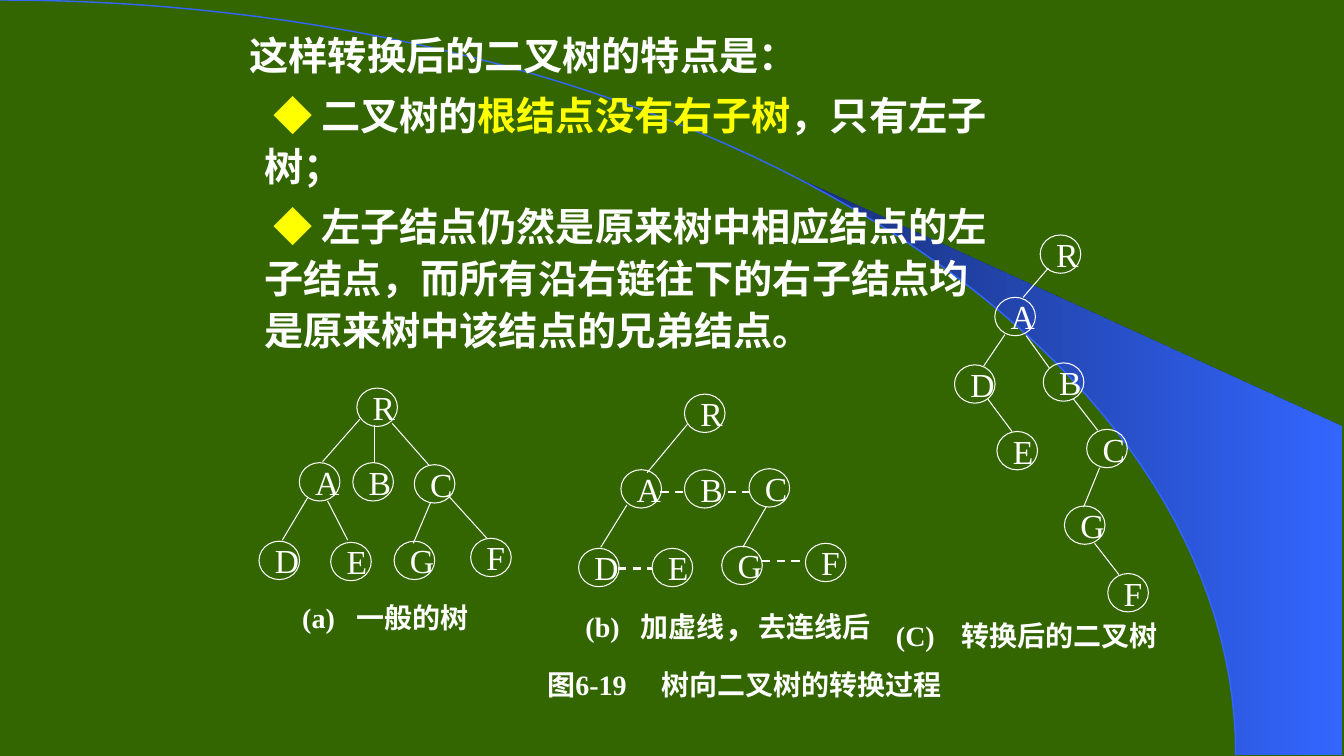
import math
from dataclasses import dataclass, field
from typing import NamedTuple

from lxml import etree
from pptx import Presentation
from pptx.dml.color import RGBColor
from pptx.enum.dml import MSO_LINE
from pptx.enum.shapes import MSO_CONNECTOR, MSO_SHAPE
from pptx.enum.text import MSO_ANCHOR, PP_ALIGN
from pptx.oxml.ns import qn
from pptx.util import Pt

STRAIGHT, ELLIPSE = MSO_CONNECTOR.STRAIGHT, MSO_SHAPE.OVAL
MIDDLE, LEFT, DASH = MSO_ANCHOR.MIDDLE, PP_ALIGN.LEFT, MSO_LINE.DASH
COLORS = {"ground": "336600", "text": "FFFFFF", "accent": "FFFF00",
          "arc": "3366FF", "band_dark": "182F76"}
CJK, LATIN = "Noto Sans CJK SC", "Times New Roman"
BODY = {"name": CJK, "size": Pt(28), "bold": True}
CAPTION = {"name": LATIN, "size": Pt(20), "bold": True}
CAPTION_COMMA = {"name": CJK, "size": Pt(24), "bold": True}
NODE = {"name": LATIN, "size": Pt(24), "bold": False}
NODE_W, NODE_H = 29, 27.4
ARC_W, ARC_H = 882.7, 539.3
BAND_LEFT, BAND_RIGHT, BAND_RIGHT_TOP = 565.9, 958.3, 304.6

Point = tuple[float, float]
Line = tuple[float, float, float, float]


class Run(NamedTuple):
    text: str
    style: dict
    color: str = "text"


@dataclass
class Caption:
    left: float
    top: float
    width: float
    height: float
    tab: float
    runs: list[Run]


@dataclass
class Tree:
    nodes: dict[str, Point]
    edges: list[Line]
    sibling_links: list[Line] = field(default_factory=list)


TREES = [
    Tree({"R": (254.9, 277.2), "A": (213.8, 330.5), "B": (252, 330.5), "C": (295.9, 331.9),
          "D": (185, 386.6), "E": (236.2, 387.4), "G": (281.5, 386.6), "F": (336.2, 384.5)},
         [(257, 299.5, 230.4, 329.8), (267.8, 303.8, 267.8, 330.5),
          (280.1, 302.4, 306.7, 332.6), (219.6, 355.7, 201.6, 385.9),
          (234, 357.8, 248.4, 385.9), (321.1, 355, 347.8, 384.5),
          (307.4, 359.3, 295.2, 388.1)]),
    Tree({"R": (488.9, 281.5), "A": (443.5, 335.5), "B": (488.9, 335.5), "C": (535, 334.8),
          "D": (413.3, 391.7), "E": (465.8, 391.7), "G": (515.5, 390.2), "F": (575.3, 388.1)},
         [(491, 303.1, 462.2, 337.7), (447.8, 360.7, 429.1, 391),
          (547.2, 362.2, 530.6, 391)],
         [(471.6, 351.4, 489.6, 351.4), (519.8, 351.4, 535.7, 351.4),
          (441.4, 406.1, 465.8, 406.1), (544.3, 401, 574.6, 401)]),
    Tree({"R": (743, 167.8), "A": (710.6, 212.4), "B": (745.2, 259.2), "C": (776.2, 306.7),
          "D": (681.8, 260.6), "E": (712.1, 308.2), "G": (760.3, 361.4), "F": (791.3, 409.7)},
         [(748.8, 191.5, 730.8, 212.4), (717.8, 239, 702.7, 261.4),
          (733, 239.8, 749.5, 262.8), (705.6, 285.1, 722.9, 308.2),
          (766.8, 285.1, 784.1, 307.4), (785.5, 334.1, 774, 362.2),
          (781.9, 388.1, 799.2, 410.4)]),
]
CAPTIONS = [
    Caption(208.8, 428, 150, 25.2, 38.6, [Run("(a)\t一般的树", CAPTION)]),
    Caption(411.1, 433, 235, 25.2, 39.3,
            [Run("(b)\t加虚线", CAPTION), Run("，", CAPTION_COMMA), Run("去连线后", CAPTION)]),
    Caption(632.9, 439.9, 225, 28, 47, [Run("(C)\t转换后的二叉树", CAPTION)]),
    Caption(383.8, 474.5, 320, 28, 81.4, [Run("图6-19\t树向二叉树的转换过程", CAPTION)]),
]
FEATURES_TITLE = [Run("这样转换后的二叉树的特点是：", BODY)]
FEATURES = [
    [Run("◆", BODY, "accent"), Run(" 二叉树的", BODY),
     Run("根结点没有右子树", BODY, "accent"), Run("，只有左子树；", BODY)],
    [Run("◆", BODY, "accent"),
     Run(" 左子结点仍然是原来树中相应结点的左子结点，而所有沿右链往下的右子结点均"
         "是原来树中该结点的兄弟结点。", BODY)],
]


def rgb(name: str) -> RGBColor:
    return RGBColor.from_string(COLORS[name])


def add_runs(paragraph, runs: list[Run]) -> None:
    for text, style, color in runs:
        run = paragraph.add_run()
        run.text = text
        for key, value in style.items():
            setattr(run.font, key, value)
        run.font.color.rgb = rgb(color)
        east_asian = etree.SubElement(run.font._element, qn("a:ea"))
        east_asian.set("typeface", CJK)


def arc_points(start_x: float, steps: int) -> list[Point]:
    start = math.asin(start_x / ARC_W)
    angles = [start + (math.pi / 2 - start) * i / steps for i in range(steps + 1)]
    return [(ARC_W * math.sin(a), ARC_H * (1 - math.cos(a))) for a in angles]


def add_outline(slide, points: list[Point], close: bool):
    corners = [(Pt(x), Pt(y)) for x, y in points]
    builder = slide.shapes.build_freeform(*corners[0])
    builder.add_line_segments(corners[1:], close=close)
    outline = builder.convert_to_shape()
    outline.shadow.inherit = False
    return outline


def add_backdrop(slide) -> None:
    band = add_outline(slide, arc_points(BAND_LEFT, 30) + [
        (BAND_RIGHT, ARC_H), (BAND_RIGHT, BAND_RIGHT_TOP)], True)
    band.fill.gradient()
    band.fill.gradient_angle = 0
    for stop, color, position in zip(band.fill.gradient_stops, ("band_dark", "arc"), (0, 1)):
        stop.color.rgb = rgb(color)
        stop.position = position
    band.line.fill.background()
    arc = add_outline(slide, arc_points(0, 60), False)
    arc.fill.background()
    arc.line.color.rgb = rgb("arc")
    arc.line.width = Pt(1)


def add_features(slide) -> None:
    frame = slide.shapes.add_textbox(Pt(139.7), Pt(15.1), Pt(572.4), Pt(245)).text_frame
    frame.word_wrap = True
    for i, runs in enumerate([FEATURES_TITLE, *FEATURES]):
        paragraph = frame.add_paragraph() if i else frame.paragraphs[0]
        paragraph.line_spacing = Pt(37.1)
        if i:
            paragraph.space_before = Pt(5.6)
        properties = paragraph._p.get_or_add_pPr()
        properties.set("marL", str(Pt(41.8 if i else 0)))
        properties.set("indent", str(Pt(6.5 if i else 31.5)))
        add_runs(paragraph, runs)


def add_caption(slide, caption: Caption) -> None:
    box = slide.shapes.add_textbox(Pt(caption.left), Pt(caption.top),
                                   Pt(caption.width), Pt(caption.height))
    frame = box.text_frame
    frame.word_wrap = True
    frame.vertical_anchor = MIDDLE
    paragraph = frame.paragraphs[0]
    tabs = etree.SubElement(paragraph._p.get_or_add_pPr(), qn("a:tabLst"))
    etree.SubElement(tabs, qn("a:tab"), pos=str(Pt(caption.tab)), algn="l")
    add_runs(paragraph, caption.runs)


def add_link(slide, ends: Line, width: float, dashed: bool) -> None:
    link = slide.shapes.add_connector(STRAIGHT, *(Pt(v) for v in ends))
    link.line.color.rgb = rgb("text")
    link.line.width = Pt(width)
    if dashed:
        link.line.dash_style = DASH
    etree.SubElement(link._element.spPr, qn("a:effectLst"))


def add_node(slide, letter: str, corner: Point) -> None:
    node = slide.shapes.add_shape(ELLIPSE, Pt(corner[0]), Pt(corner[1]), Pt(NODE_W), Pt(NODE_H))
    node.shadow.inherit = False
    node.fill.background()
    node.line.color.rgb = rgb("text")
    node.line.width = Pt(0.75)
    frame = node.text_frame
    frame.word_wrap = False
    frame.vertical_anchor = MIDDLE
    frame.paragraphs[0].alignment = LEFT
    add_runs(frame.paragraphs[0], [Run(letter, NODE)])


def main() -> None:
    deck = Presentation()
    deck.slide_width, deck.slide_height = Pt(960), Pt(540)
    slide = deck.slides.add_slide(deck.slide_layouts[6])
    slide.background.fill.solid()
    slide.background.fill.fore_color.rgb = rgb("ground")
    add_backdrop(slide)
    add_features(slide)
    # Three stages of the conversion
    for tree in TREES:
        for letter, corner in tree.nodes.items():
            add_node(slide, letter, corner)
        for ends in tree.edges:
            add_link(slide, ends, 0.75, False)
        for ends in tree.sibling_links:
            add_link(slide, ends, 1.5, True)
    # Captions
    for caption in CAPTIONS:
        add_caption(slide, caption)
    deck.save("out.pptx")


if __name__ == "__main__":
    main()
